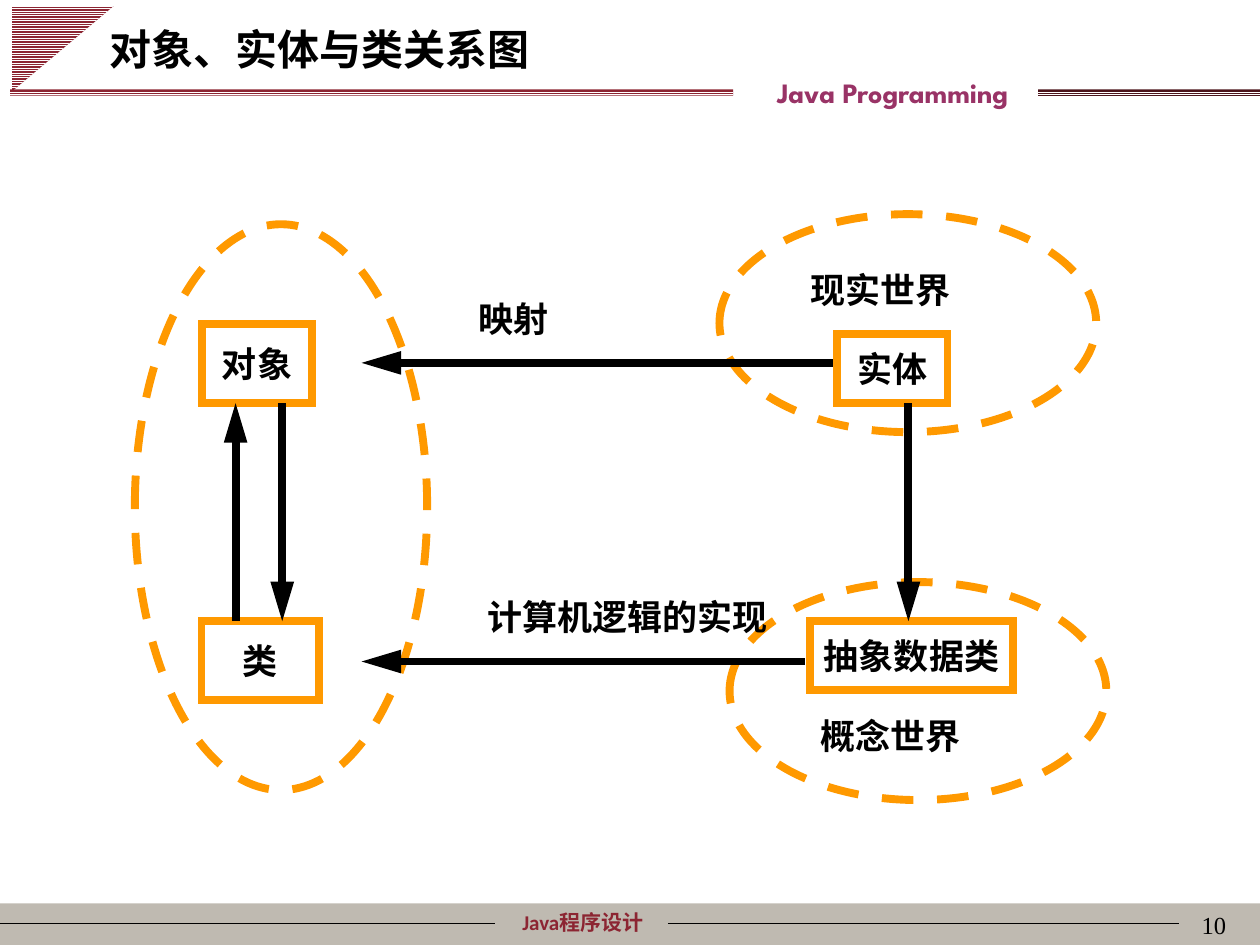
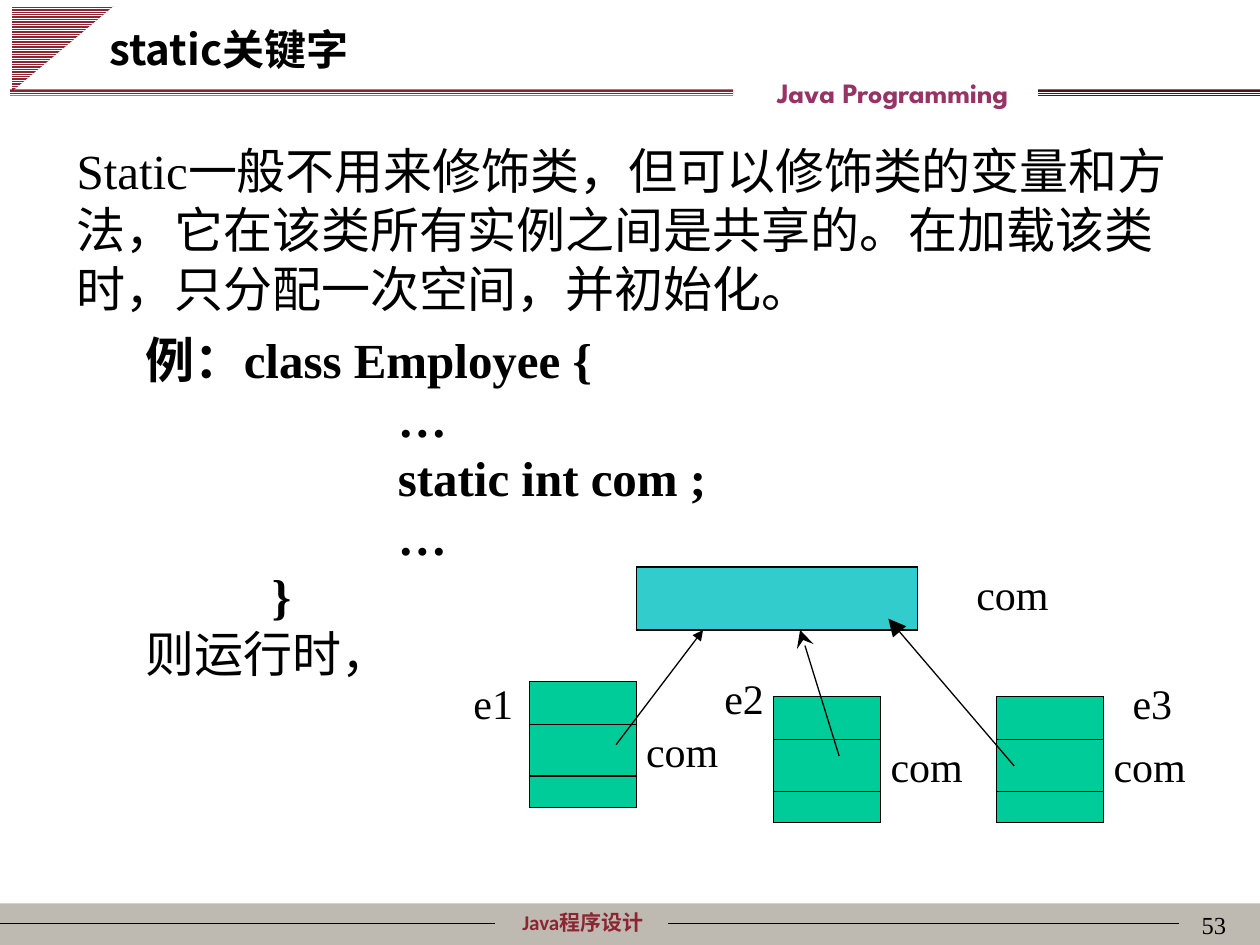
"""Builds two Java lecture slides: object/class relations and the static keyword."""
from lxml import etree
from pptx import Presentation, util as u
from pptx.dml.color import RGBColor
from pptx.enum import dml, shapes, text as t
from pptx.oxml.ns import qn

COLORS = {
    "ink": "000000", "paper": "FFFFFF", "band": "BFBAB1", "wine": "8C2532",
    "dark_wine": "4C141B", "plum": "993366", "orange": "FF9900",
    "shared": "33CCCC", "record": "00CC99",
}
SERIF, CJK = "Times New Roman", "Noto Sans CJK SC"
RECT, OVAL = shapes.MSO_SHAPE.RECTANGLE, shapes.MSO_SHAPE.OVAL
ALIGN = {"l": t.PP_ALIGN.LEFT, "c": t.PP_ALIGN.CENTER, "r": t.PP_ALIGN.RIGHT}

COURSE = "Java程序设计"
BANNER = "Java Programming"
FOOTER_RULES = [(0, 3.93), (5.3, 9.36)]
HATCHED = [
    (shapes.MSO_SHAPE.RIGHT_TRIANGLE, (0.16, -0.02, 0.68, 0.81), 90, "wine"),
    (RECT, (8.24, 0.71, 1.76, 0.06), 0, "dark_wine"),
    (RECT, (0.08, 0.71, 5.74, 0.05), 0, "wine"),
]

RELATIONS = {
    "title": "对象、实体与类关系图",
    "page": "10",
    "worlds": [(5.79, 4.62, 2.99, 1.73), (5.71, 1.7, 2.99, 1.73), (1.07, 1.78, 2.32, 4.49)],
    "concepts": [
        ("抽象数据类", (6.43, 4.93, 1.61, 0.55)),
        ("实体", (6.64, 2.65, 0.88, 0.55)),
        ("对象", (1.6, 2.57, 0.88, 0.63)),
        ("类", (1.6, 4.93, 0.93, 0.63)),
    ],
    "captions": [
        ("概念世界", (6.27, 5.56, 1.6, 0.55)),
        ("现实世界", (6.19, 2.02, 1.6, 0.55)),
        ("计算机逻辑的实现", (3.68, 4.62, 2.6, 0.55)),
        ("映射", (3.58, 2.25, 1, 0.55)),
    ],
    "arrows": [
        ((7.21, 3.2), (7.21, 4.93)),
        ((2.24, 3.2), (2.24, 4.93)),
        ((1.87, 4.93), (1.87, 3.2)),
        ((6.39, 5.25), (2.87, 5.25)),
        ((6.61, 2.88), (2.87, 2.88)),
    ],
}

STATIC = {
    "title": "static关键字",
    "page": "53",
    "rule": "Static一般不用来修饰类，但可以修饰类的变量和方法，它在该类所有实例之间是共享的。"
            "在加载该类时，只分配一次空间，并初始化。",
    "example": [
        ("例：class Employee {", 0, True),
        ("…", 2, True),
        ("static int com ;", 2, True),
        ("…", 2, True),
        ("}", 1, True),
        ("则运行时，", 0, False),
    ],
    "field": "com",
    "shared": (5.05, 4.5, 2.23, 0.5),
    "shared_label": (7.65, 4.46),
    "employees": [
        ("e1", (3.66, 5.33), (4.2, 5.41)),
        ("e2", (5.65, 5.29), (6.14, 5.53)),
        ("e3", (8.89, 5.33), (7.91, 5.53)),
    ],
    "references": [
        ((4.89, 5.91), (5.58, 5), "triangle", "med"),
        ((6.66, 6), (6.35, 5), "stealth", "lg"),
        ((8.05, 6.08), (7.05, 4.91), "triangle", "lg"),
    ],
}
RECORD_SIZE = (0.85, 1)
RECORD_DIVIDERS = (0.34, 0.75)
FIELD_OFFSET = (0.83, 0.3)
LABEL_SIZE = (1, 0.5)


def rgb(name):
    return RGBColor.from_string(COLORS[name])


def inches(values):
    return [u.Inches(v) for v in values]


def write(slide, content, box, size=20, font=SERIF, color="ink", bold=False,
          align="l", middle=False, wrap=True, leading=None):
    """Add a text box; content is a string or (text, indent, bold) rows."""
    frame = slide.shapes.add_textbox(*inches(box)).text_frame
    frame.word_wrap = wrap
    frame.vertical_anchor = t.MSO_ANCHOR.MIDDLE if middle else t.MSO_ANCHOR.TOP
    rows = [(content, 0, bold)] if isinstance(content, str) else content
    for i, (line, indent, heavy) in enumerate(rows):
        para = frame.paragraphs[0] if i == 0 else frame.add_paragraph()
        para.alignment = ALIGN[align]
        if leading:
            para.line_spacing = u.Pt(leading)
        if indent:
            para._p.get_or_add_pPr().set("marL", str(u.Inches(indent)))
        run = para.add_run()
        run.text = line
        run.font.name, run.font.size, run.font.bold = font, u.Pt(size), heavy
        run.font.color.rgb = rgb(color)
        latin = run.font._element.find(qn("a:latin"))
        east = etree.Element(qn("a:ea"), typeface=CJK)
        latin.addnext(east)


def draw(slide, kind, box, fill=None, line=None, width=0.75, dashed=False):
    shape = slide.shapes.add_shape(kind, *inches(box))
    shape.shadow.inherit = False
    if fill:
        shape.fill.solid()
        shape.fill.fore_color.rgb = rgb(fill)
    else:
        shape.fill.background()
    if line:
        shape.line.color.rgb = rgb(line)
        shape.line.width = u.Pt(width)
        if dashed:
            shape.line.dash_style = dml.MSO_LINE.DASH
        etree.SubElement(shape.line._get_or_add_ln(), qn("a:miter"), lim="800000")
    else:
        shape.line.fill.background()
    return shape


def connect(slide, start, end, width=0.75, arrow=None, breadth="med", length="med"):
    link = slide.shapes.add_connector(shapes.MSO_CONNECTOR.STRAIGHT, *inches(start + end))
    link.line.color.rgb = rgb("ink")
    link.line.width = u.Pt(width)
    if arrow:
        etree.SubElement(link.line._get_or_add_ln(), qn("a:tailEnd"),
                         type=arrow, w=breadth, len=length)
    etree.SubElement(link._element.spPr, qn("a:effectLst"))


def add_page(deck, title, page):
    slide = deck.slides.add_slide(deck.slide_layouts[6])
    draw(slide, RECT, (0, 7.17, 10, 0.33), fill="band")
    write(slide, COURSE, (3.62, 7.17, 2.01, 0.3), size=12, font="Calibri",
          color="wine", bold=True, align="c")
    for left, right in FOOTER_RULES:
        connect(slide, (left, 7.33), (right, 7.33))
    for kind, box, turn, color in HATCHED:
        hatch = draw(slide, kind, box)
        hatch.rotation = turn
        hatch.fill.patterned()
        hatch.fill.pattern = dml.MSO_PATTERN.LIGHT_HORIZONTAL
        hatch.fill.fore_color.rgb = rgb("paper")
        hatch.fill.back_color.rgb = rgb(color)
    write(slide, BANNER, (5.08, 0.55, 4.01, 0.37), size=16, font="League Spartan",
          color="plum", bold=True, align="c")
    write(slide, page, (7.75, 7.17, 2.08, 0.5), size=14, align="r")
    write(slide, title, (0.77, 0.14, 8.5, 0.5), size=24, font=CJK, bold=True)
    return slide


def add_relations(deck):
    slide = add_page(deck, RELATIONS["title"], RELATIONS["page"])
    for box in RELATIONS["worlds"]:
        draw(slide, OVAL, box, line="orange", width=4.5, dashed=True)
    for _, box in RELATIONS["concepts"]:
        draw(slide, RECT, box, line="orange", width=4.5)
    for label, box in RELATIONS["concepts"] + RELATIONS["captions"]:
        write(slide, label, box, bold=True, align="c", middle=True, wrap=False)
    for start, end in RELATIONS["arrows"]:
        connect(slide, start, end, width=4.5, arrow="triangle", length="lg")


def add_static(deck):
    slide = add_page(deck, STATIC["title"], STATIC["page"])
    write(slide, STATIC["rule"], (0.51, 1.07, 9, 1.6), size=28, leading=33.6)
    write(slide, STATIC["example"], (1.06, 2.57, 5, 2.9), size=28, leading=33.6)
    draw(slide, RECT, STATIC["shared"], fill="shared", line="ink")
    labels = [(STATIC["field"], STATIC["shared_label"])]
    for name, name_at, (left, top) in STATIC["employees"]:
        draw(slide, RECT, (left, top) + RECORD_SIZE, fill="record", line="ink")
        for drop in RECORD_DIVIDERS:
            connect(slide, (left, top + drop), (left + RECORD_SIZE[0], top + drop))
        field_at = (left + FIELD_OFFSET[0], top + FIELD_OFFSET[1])
        labels += [(name, name_at), (STATIC["field"], field_at)]
    for label, corner in labels:
        write(slide, label, corner + LABEL_SIZE, size=24)
    for start, end, head, scale in STATIC["references"]:
        connect(slide, start, end, arrow=head, breadth=scale, length=scale)


def main():
    deck = Presentation()
    deck.slide_width, deck.slide_height = inches((10, 7.5))
    add_relations(deck)
    add_static(deck)
    deck.save("out.pptx")


if __name__ == "__main__":
    main()
